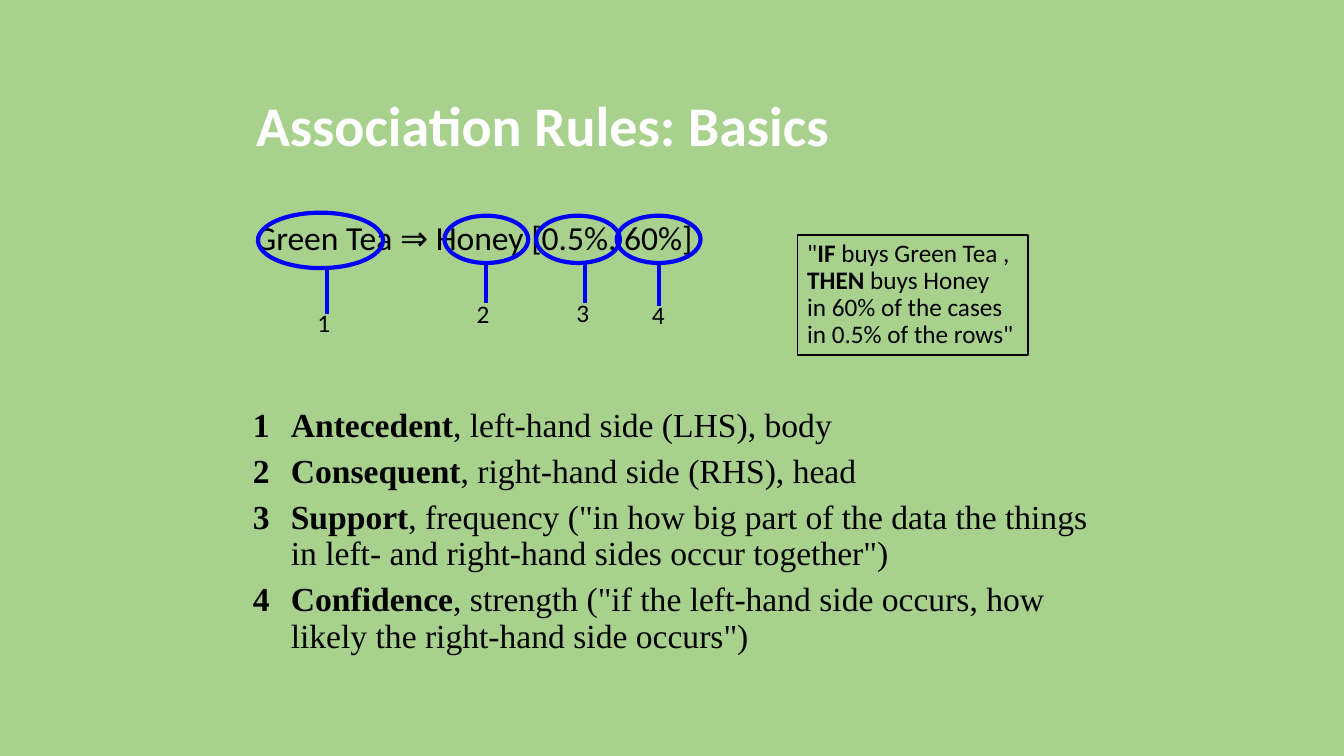
import pptx
import pptx.util
import pptx.dml.color
import pptx.enum.shapes
import pptx.enum.text
import pptx.oxml.ns
import lxml.etree

Pt = pptx.util.Pt
BLACK, WHITE, BLUE, GREEN = "000000", "FFFFFF", "0000FF", "A9D18E"

TERMS = [
    [("Antecedent", True), (", left-hand side (LHS), body", False)],
    [("Consequent", True), (", right-hand side (RHS), head", False)],
    [("Support", True), (', frequency ("in how big part of the data the things '
                         'in left- and right-hand sides occur together")', False)],
    [("Confidence", True), (', strength ("if the left-hand side occurs, '
                            'how likely the right-hand side occurs")', False)],
]
NOTE = [
    [('"', False), ("IF", True), (" buys Green Tea ,", False)],
    [("THEN", True), (" buys Honey", False)],
    [("in 60% of the cases", False)],
    [('in 0.5% of the rows"', False)],
]
MARKS = [
    ("1", (184.3, 151.9, 89.3, 39.6), (233.3, 224.6), (219.6, 216)),
    ("2", (317.5, 154.1, 59.8, 33.8), (347, 216.7), (333.4, 209.5)),
    ("3", (383, 154.1, 59.8, 33.8), (417.6, 216.7), (404.6, 208.8)),
    ("4", (440.6, 154.1, 59.8, 33.8), (470.9, 218.9), (458.6, 210.2)),
]


def color(code):
    return pptx.dml.color.RGBColor.from_string(code)


def place(shape, left, top, width, height):
    shape.left, shape.top = Pt(left), Pt(top)
    shape.width, shape.height = Pt(width), Pt(height)


def bullet(para, hang, kind, **attrs):
    props = para._p.get_or_add_pPr()
    props.set("marL", str(Pt(hang)))
    props.set("indent", str(-Pt(hang)))
    qn = pptx.oxml.ns.qn
    if kind == "buAutoNum":
        lxml.etree.SubElement(props, qn("a:buFont"), typeface="Arial")
    lxml.etree.SubElement(props, qn("a:" + kind), **attrs)


def write(frame, lines, size, name="Calibri", code=BLACK, space=0, wrap=True, pitch=0.9):
    frame.word_wrap = wrap
    frame.auto_size = pptx.enum.text.MSO_AUTO_SIZE.NONE
    for i, parts in enumerate(lines):
        para = frame.paragraphs[0] if i == 0 else frame.add_paragraph()
        para.alignment = pptx.enum.text.PP_ALIGN.LEFT
        para.line_spacing = pitch
        para.space_before = Pt(space if i else 0)
        for text, bold in parts:
            run = para.add_run()
            run.text = text
            run.font.name, run.font.size, run.font.bold = name, Pt(size), bold
            run.font.color.rgb = color(code)


def outline(shape, code, width):
    shape.line.color.rgb = color(code)
    shape.line.width = Pt(width)


def frame(shapes, kind, box, code, width):
    shape = shapes.add_shape(kind, *map(Pt, box))
    shape.shadow.inherit = False
    shape.fill.background()
    outline(shape, code, width)
    return shape


def mark(slide, text, ring, foot, spot):
    shapes = slide.shapes.add_group_shape().shapes
    label = shapes.add_textbox(*map(Pt, spot), Pt(26.6), Pt(36))
    write(label.text_frame, [[(text, False)]], 18, pitch=1)
    frame(shapes, pptx.enum.shapes.MSO_SHAPE.OVAL, ring, BLUE, 3)
    x, end = foot
    stem = shapes.add_connector(pptx.enum.shapes.MSO_CONNECTOR.STRAIGHT,
                                Pt(x), Pt(ring[1] + ring[3]), Pt(x), Pt(end))
    outline(stem, BLUE, 3)
    lxml.etree.SubElement(stem._element.spPr, pptx.oxml.ns.qn("a:effectLst"))


def main():
    deck = pptx.Presentation()
    deck.slide_width, deck.slide_height = Pt(960), Pt(540)
    slide = deck.slides.add_slide(deck.slide_layouts[3])
    slide.background.fill.solid()
    slide.background.fill.fore_color.rgb = color(GREEN)
    title, rule, terms = slide.placeholders

    place(title, 175.7, 61.9, 607.7, 59.8)
    write(title.text_frame, [[("Association Rules: Basics", True)]], 40, code=WHITE)

    place(rule, 175, 154.8, 350.6, 45.4)
    write(rule.text_frame, [[("Green Tea ⇒ Honey [0.5%, 60%]", False)]], 24)
    bullet(rule.text_frame.paragraphs[0], 18, "buNone")

    place(terms, 173.5, 288, 610.6, 197.3)
    write(terms.text_frame, TERMS, 24, "Times New Roman", space=7)
    for para in terms.text_frame.paragraphs:
        bullet(para, 27, "buAutoNum", type="arabicPlain")

    note = frame(slide.shapes, pptx.enum.shapes.MSO_SHAPE.RECTANGLE,
                 (569.5, 167.8, 164.9, 85.7), BLACK, 1)
    write(note.text_frame, NOTE, 18, wrap=False)

    for item in MARKS:
        mark(slide, *item)
    deck.save("out.pptx")


if __name__ == "__main__":
    main()
